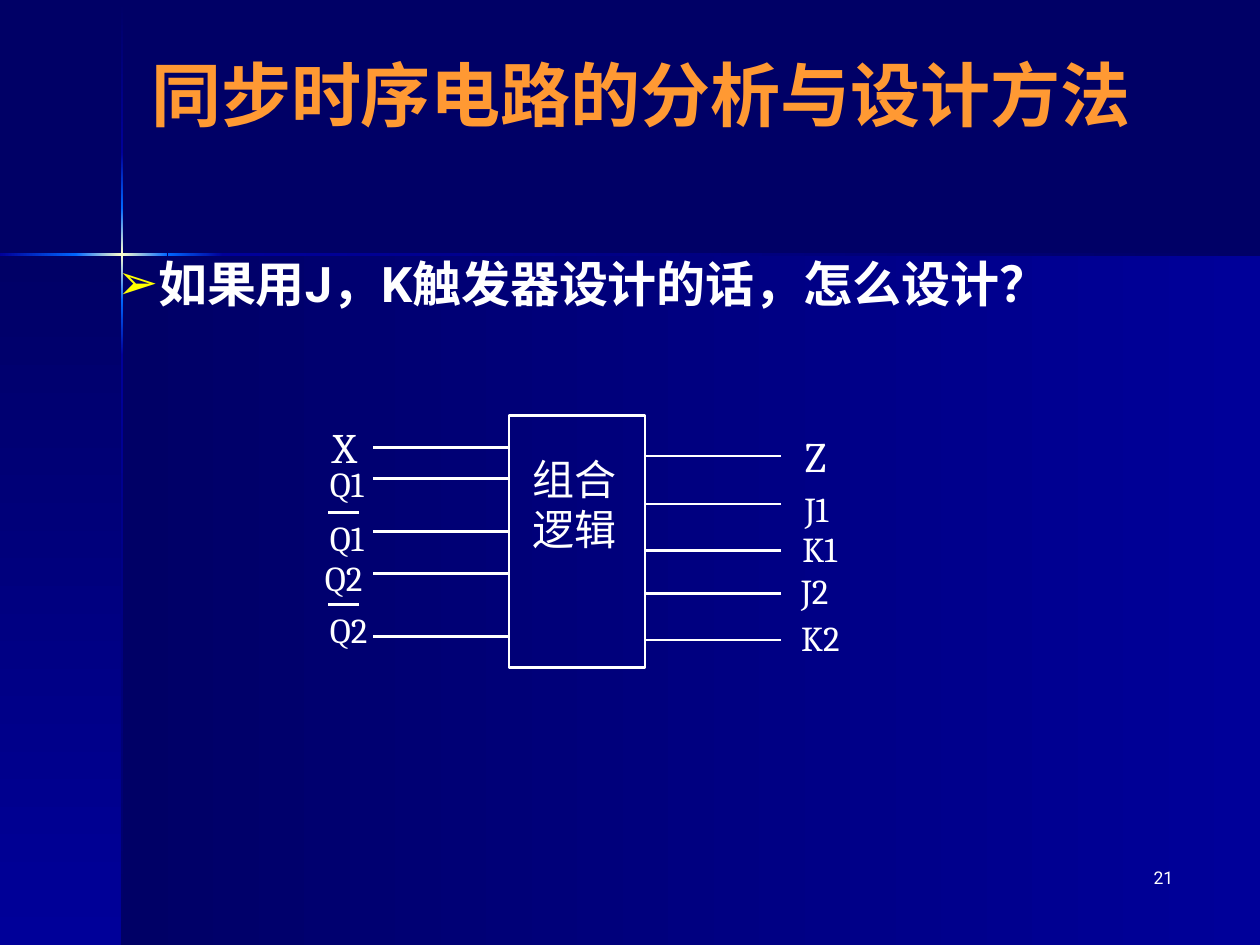
import pptx
import pptx.util
import pptx.dml.color
import pptx.enum.shapes
import pptx.enum.text
import pptx.oxml.ns
import lxml.etree as etree

Inches, Pt = pptx.util.Inches, pptx.util.Pt
qn = pptx.oxml.ns.qn
ALIGN = pptx.enum.text.PP_ALIGN
AUTO = pptx.enum.text.MSO_AUTO_SIZE
RECT = pptx.enum.shapes.MSO_SHAPE.RECTANGLE
WHITE, NAVY, BLUE, GLOW, CREAM = "FFFFFF", "000066", "000099", "0066FF", "FFFFCC"


def rgb(value):
    return pptx.dml.color.RGBColor.from_string(value)


def box(x, y, w, h):
    return Inches(x), Inches(y), Inches(w), Inches(h)


def write(sp, text, size=20, font="Cambria", color=WHITE, bold=False,
          align=ALIGN.LEFT, wrap=True, fit=AUTO.SHAPE_TO_FIT_TEXT):
    tf = sp.text_frame
    tf.word_wrap = wrap
    tf.auto_size = fit
    p = tf.paragraphs[0]
    p.alignment = align
    p.space_before = Pt(0)
    r = p.add_run()
    r.text = text
    r.font.size, r.font.name, r.font.bold = Pt(size), font, bold
    r.font.color.rgb = rgb(color)
    return p


def label(s, area, text, **fmt):
    return write(s.shapes.add_textbox(*box(*area)), text, **fmt)


def line(s, x1, y1, x2, y2):
    c = s.shapes.add_connector(pptx.enum.shapes.MSO_CONNECTOR.STRAIGHT,
                               Inches(x1), Inches(y1), Inches(x2), Inches(y2))
    c.line.color.rgb = rgb(WHITE)
    c.line.width = Pt(1.5)
    etree.SubElement(c._element.spPr, qn("a:effectLst"))


def gradient_bar(group, area, colors, vertical):
    sp = group.shapes.add_shape(RECT, *box(*area))
    sp.shadow.inherit = False
    sp.line.fill.background()
    sp.fill.gradient()
    sp.fill.gradient_angle = 270 if vertical else 0
    # Replace the default stops with evenly spaced ones
    stops = sp._element.spPr.find(".//" + qn("a:gsLst"))
    for stop in list(stops):
        stops.remove(stop)
    for i, color in enumerate(colors):
        gs = etree.SubElement(stops, qn("a:gs"), pos=str(100000 * i // (len(colors) - 1)))
        etree.SubElement(gs, qn("a:srgbClr"), val=color)


def backdrop(s, w, h, cross_x=0.97, cross_y=2.02):
    s.background.fill.solid()
    s.background.fill.fore_color.rgb = rgb(NAVY)
    group = s.shapes.add_group_shape()
    # Panels below the horizontal beam
    gradient_bar(group, (cross_x, cross_y, w - cross_x, h - cross_y), (NAVY, BLUE), False)
    gradient_bar(group, (0, cross_y, cross_x, h - cross_y), (NAVY, BLUE), True)
    # Vertical beam, then horizontal beam
    for start, end, colors in [(0.01, 1.21, (NAVY, BLUE)), (2.82, h, (BLUE, NAVY)),
                               (2.38, 2.82, (GLOW, BLUE)), (1.21, 1.65, (BLUE, GLOW)),
                               (1.65, 2.38, (GLOW, CREAM, GLOW))]:
        gradient_bar(group, (cross_x - 0.01, start, 0.02, end - start), colors, True)
    for start, end, colors in [(1.77, w, (BLUE, NAVY)), (0, 0.61, (BLUE, GLOW)),
                               (1.33, 1.77, (GLOW, BLUE)),
                               (0.6, 1.33, (GLOW, CREAM, GLOW))]:
        gradient_bar(group, (start, cross_y - 0.01, end - start, 0.02), colors, False)
    # Send behind the placeholders
    s.shapes._spTree.insert(2, group._element)


def place(sp, area):
    sp.left, sp.top, sp.width, sp.height = box(*area)
    return sp


def heading(s, area, text):
    write(place(s.shapes.title, area), text, size=40, font="Roboto", color="FF9933",
          bold=True, align=ALIGN.CENTER, fit=AUTO.NONE)


def question(s, area, text):
    p = write(place(s.placeholders[1], area), text, size=28, font="Roboto", bold=True)
    pPr = p._p.get_or_add_pPr()
    pPr.set("marL", str(Inches(0.32)))
    pPr.set("indent", str(-Inches(0.32)))
    color = etree.SubElement(pPr, qn("a:buClr"))
    etree.SubElement(color, qn("a:srgbClr"), val="FFFF00")
    etree.SubElement(pPr, qn("a:buChar"), char="➢")


def logic_block(s, x, y, w, h, wire=1.08):
    block = s.shapes.add_shape(RECT, *box(x, y, w, h))
    block.shadow.inherit = False
    block.fill.background()
    block.line.color.rgb = rgb(WHITE)
    block.line.width = Pt(1.5)
    label(s, (x + 0.09, y + 0.25, w, 0.9), "组合逻辑", size=24)

    # Wires: offsets down from the block's top
    right = x + w
    for dy in (0.25, 0.5, 0.92, 1.25, 1.75):
        line(s, x, y + dy, x - wire, y + dy)
    for dy in (0.32, 0.7, 1.07, 1.41, 1.78):
        line(s, right + wire, y + dy, right, y + dy)

    # Signal names: text, offset from the block's left, offset from its top
    widths = {"X": 0.42, "Z": 0.42, "J": 0.69, "Q": 0.55, "K": 0.54}
    signals = [("X", -1.5, 0), ("Q1", -1.52, 0.32), ("Q1", -1.52, 0.75),
               ("Q2", -1.56, 1.07), ("Q2", -1.52, 1.48),
               ("Z", 2.25, 0.07), ("J1", 2.25, 0.52), ("K1", 2.23, 0.84),
               ("J2", 2.22, 1.17), ("K2", 2.22, 1.54)]
    for name, dx, dy in signals:
        single = len(name) == 1
        label(s, (x + dx, y + dy, widths[name[0]], 0.5 if single else 0.43), name,
              size=24 if single else 20, wrap=name[0] not in "QK")

    # Negation bars over the second Q1 and Q2
    for dy in (0.77, 1.5):
        line(s, x - 1.19, y + dy, x - 1.44, y + dy)


def main():
    prs = pptx.Presentation()
    prs.slide_width, prs.slide_height = Inches(10), Inches(7.5)
    s = prs.slides.add_slide(prs.slide_layouts[1])
    backdrop(s, 10, 7.5)
    heading(s, (0.5, 0.33, 9.17, 0.83), "同步时序电路的分析与设计方法")
    question(s, (0.83, 1.96, 8.5, 0.57), "如果用J，K触发器设计的话，怎么设计？")
    logic_block(s, 4.04, 3.3, 1.08, 2)
    # Page number
    label(s, (7.33, 6.83, 2.08, 0.5), "21", size=10, font="Roboto",
          align=ALIGN.RIGHT, fit=AUTO.NONE)
    prs.save("out.pptx")


if __name__ == "__main__":
    main()
